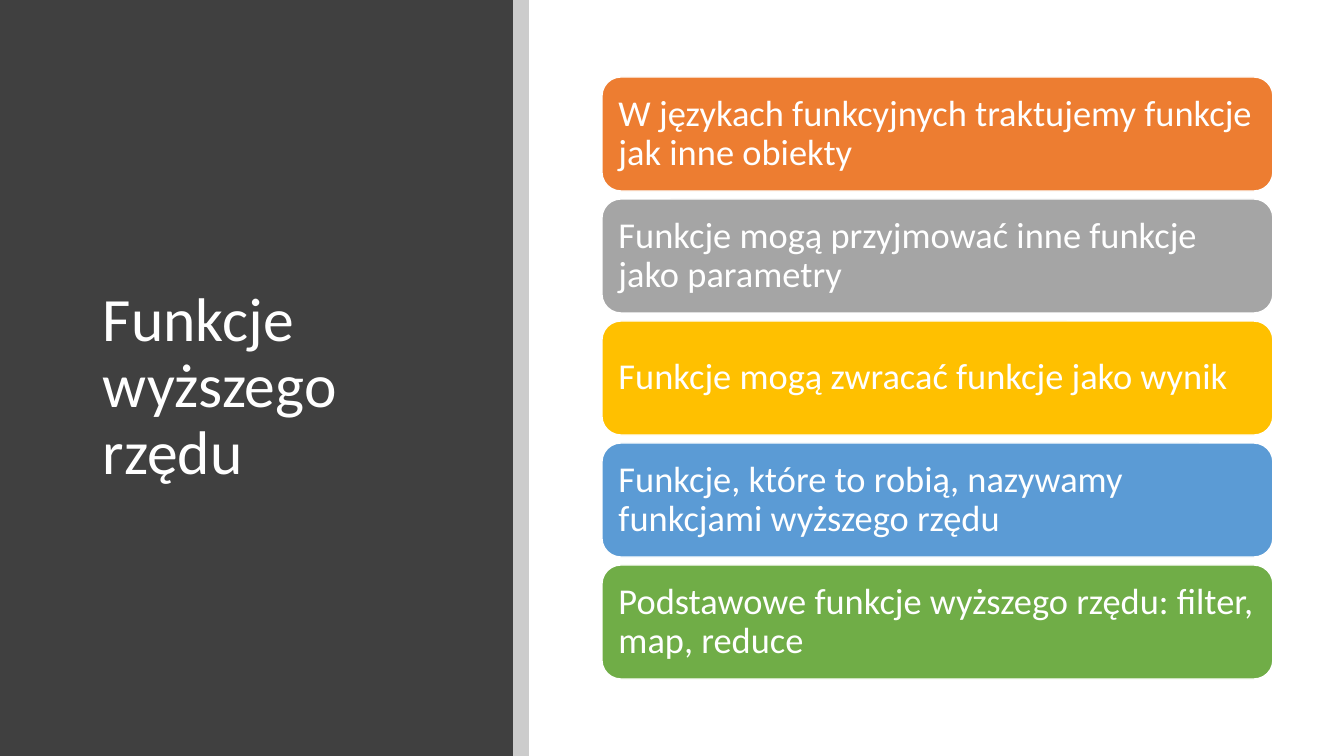
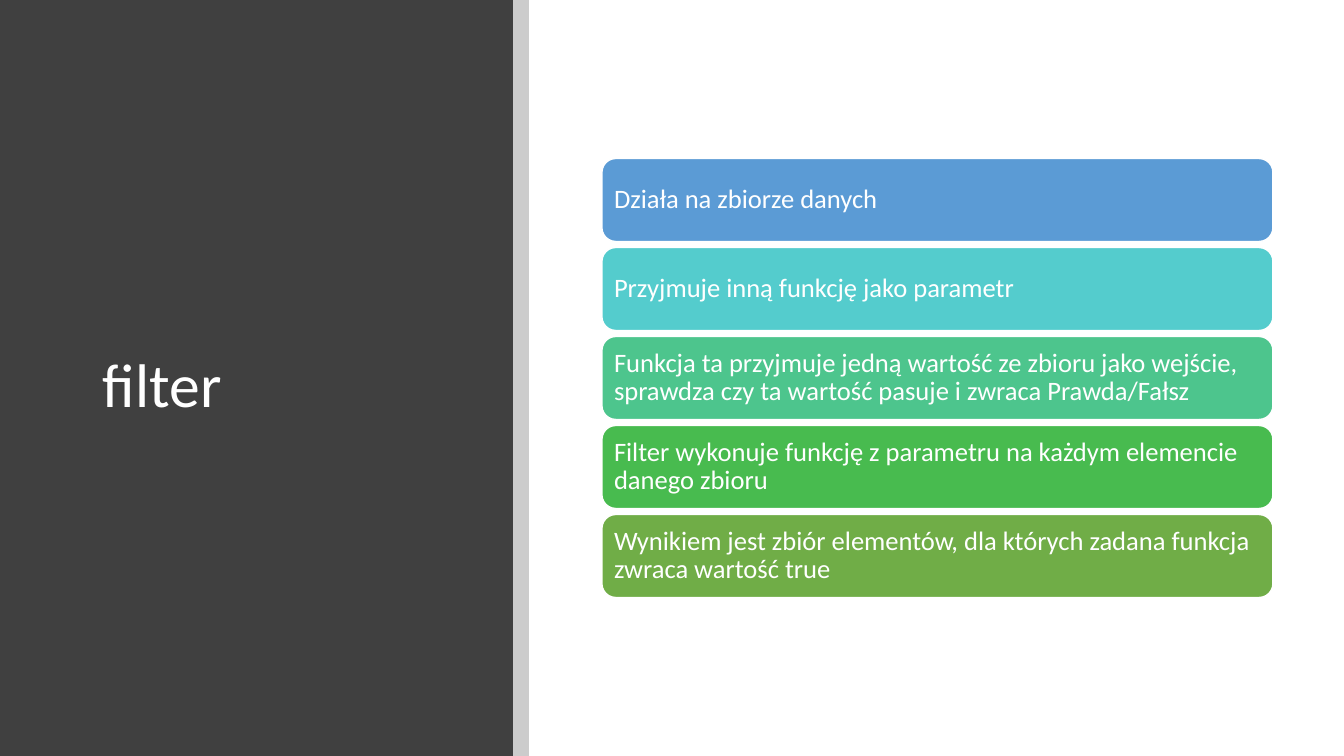
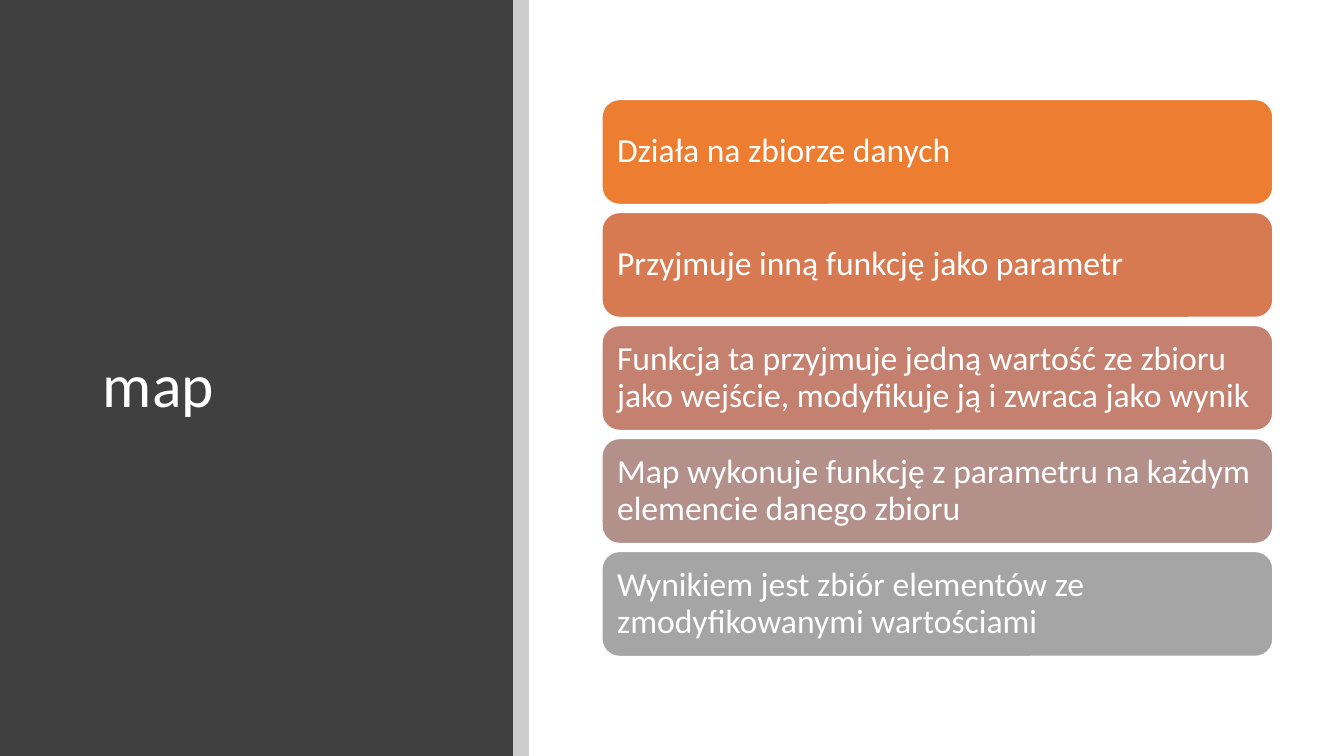
from dataclasses import dataclass
from lxml.etree import SubElement
from pptx import Presentation
from pptx.dml.color import RGBColor
from pptx.enum.shapes import MSO_SHAPE
from pptx.enum.text import MSO_ANCHOR, MSO_AUTO_SIZE, PP_ALIGN
from pptx.oxml.ns import qn
from pptx.util import Pt


@dataclass(frozen=True)
class Theme:
    font: str = "Calibri"
    white: str = "FFFFFF"
    dark: str = "404040"
    black: str = "000000"
    blue: str = "5B9BD5"
    orange: str = "ED7D31"
    gray: str = "A5A5A5"
    gold: str = "FFC000"
    green: str = "70AD47"
    title: int = 44
    large: int = 26
    medium: int = 24
    small: int = 19


theme = Theme()
PX = 914400 / 100.8
WIDE, HIGH = 1344, 756
PANEL, STRIP = 513, 16
LEFT, WIDTH = 602, 671


def add_box(slide, kind, x, y, w, h, color):
    box = slide.shapes.add_shape(kind, *(round(v * PX) for v in (x, y, w, h)))
    box.shadow.inherit = False
    box.fill.solid()
    box.fill.fore_color.rgb = RGBColor.from_string(color)
    box.line.fill.background()
    return box


def write(shape, text, size, pad):
    frame = shape.text_frame
    frame.word_wrap = True
    frame.auto_size = MSO_AUTO_SIZE.NONE
    frame.vertical_anchor = MSO_ANCHOR.MIDDLE
    frame.margin_left = frame.margin_right = round(pad * PX)
    frame.margin_top = frame.margin_bottom = round(pad * PX)
    para = frame.paragraphs[0]
    para.alignment = PP_ALIGN.LEFT
    para.line_spacing = 0.9
    run = para.add_run()
    run.text = text
    run.font.name = theme.font
    run.font.size = Pt(size)
    run.font.color.rgb = RGBColor.from_string(theme.white)


# Content: title, type size, card height, gap, padding, cards
pages = [
    ("Funkcje wyższego rzędu", theme.large, 114, 8, 11, [
        ("W językach funkcyjnych traktujemy funkcje jak inne obiekty", theme.orange),
        ("Funkcje mogą przyjmować inne funkcje jako parametry", theme.gray),
        ("Funkcje mogą zwracać funkcje jako wynik", theme.gold),
        ("Funkcje, które to robią, nazywamy funkcjami wyższego rzędu", theme.blue),
        ("Podstawowe funkcje wyższego rzędu: filter, map, reduce", theme.green),
    ]),
    ("filter", theme.small, 83, 6, 8, [
        ("Działa na zbiorze danych", theme.blue),
        ("Przyjmuje inną funkcję jako parametr", "54CCCD"),
        ("Funkcja ta przyjmuje jedną wartość ze zbioru jako wejście, "
         "sprawdza czy ta wartość pasuje i zwraca Prawda/Fałsz", "4DC58D"),
        ("Filter wykonuje funkcję z parametru na każdym elemencie danego zbioru", "48BB4F"),
        ("Wynikiem jest zbiór elementów, dla których zadana funkcja "
         "zwraca wartość true", theme.green),
    ]),
    ("map", theme.medium, 105, 8, 10, [
        ("Działa na zbiorze danych", theme.orange),
        ("Przyjmuje inną funkcję jako parametr", "D87A51"),
        ("Funkcja ta przyjmuje jedną wartość ze zbioru jako wejście, "
         "modyfikuje ją i zwraca jako wynik", "C48170"),
        ("Map wykonuje funkcję z parametru na każdym elemencie danego zbioru", "B4908B"),
        ("Wynikiem jest zbiór elementów ze zmodyfikowanymi wartościami", theme.gray),
    ]),
]

deck = Presentation()
deck.slide_width, deck.slide_height = round(WIDE * PX), round(HIGH * PX)

for head, size, high, gap, pad, cards in pages:
    slide = deck.slides.add_slide(deck.slide_layouts[5])

    # Dark panel behind the title
    panel = add_box(slide, MSO_SHAPE.RECTANGLE, 0, 0, PANEL, HIGH, theme.dark)
    title = slide.shapes.title
    title._element.addprevious(panel._element)
    title.left, title.top = round(93 * PX), round(90 * PX)
    title.width, title.height = round(368 * PX), round(596 * PX)
    write(title, head, theme.title, 10)

    # Translucent strip along the panel
    strip = add_box(slide, MSO_SHAPE.RECTANGLE, PANEL, 0, STRIP, HIGH, theme.black)
    color = strip._element.spPr.find(qn("a:solidFill"))[0]
    SubElement(color, qn("a:alpha")).set("val", "20000")

    # Cards, centred down the slide
    step = high + gap
    top = (HIGH - len(cards) * step + gap) / 2
    for i, (text, fill) in enumerate(cards):
        card = add_box(slide, MSO_SHAPE.ROUNDED_RECTANGLE,
                       LEFT, top + i * step, WIDTH, high, fill)
        card.line.color.rgb = RGBColor.from_string(theme.white)
        card.line.width = Pt(1)
        write(card, text, size, pad)

deck.save("out.pptx")
